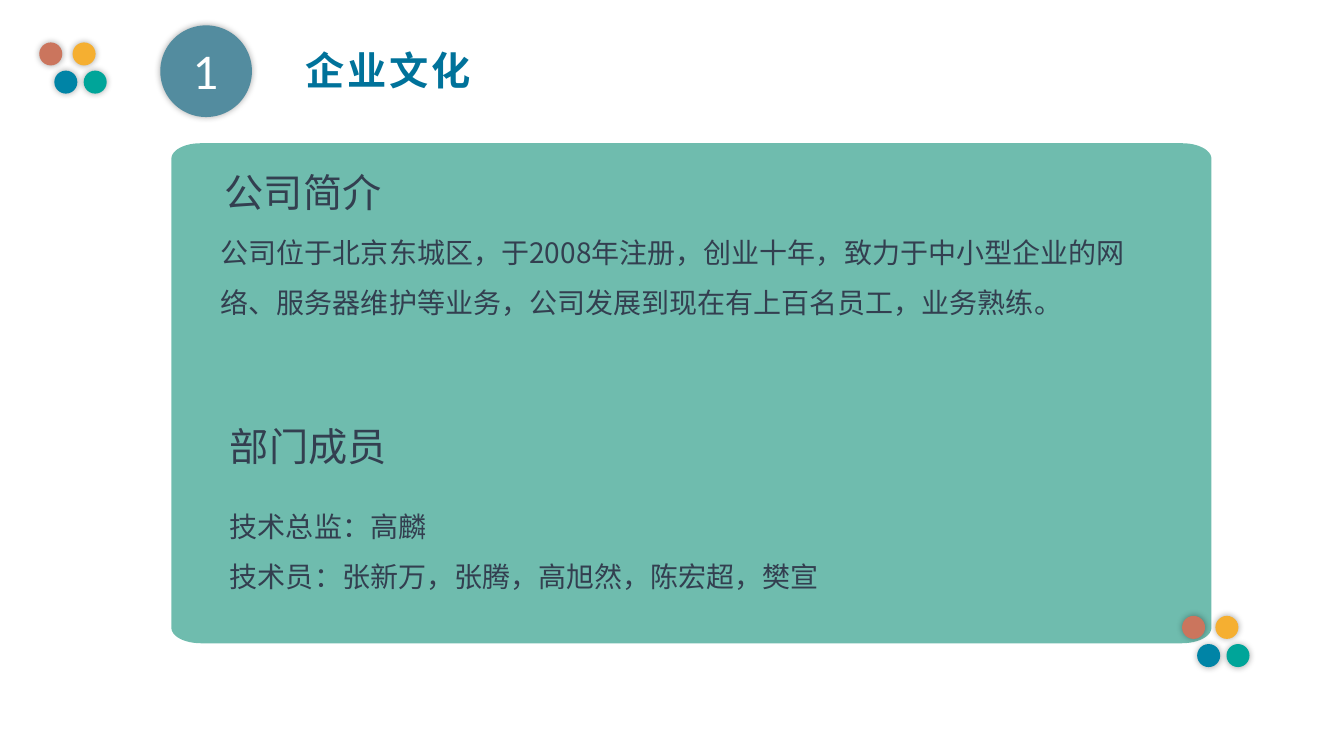
from math import cos, pi, sin

from lxml import etree
from pptx import Presentation
from pptx.dml.color import RGBColor
from pptx.enum.shapes import MSO_SHAPE
from pptx.enum.text import MSO_ANCHOR, MSO_AUTO_SIZE, PP_ALIGN
from pptx.oxml.ns import qn
from pptx.util import Cm, Pt

OVAL = MSO_SHAPE.OVAL
LEFT, CENTER = PP_ALIGN.LEFT, PP_ALIGN.CENTER
TOP, MIDDLE = MSO_ANCHOR.TOP, MSO_ANCHOR.MIDDLE
FIXED = MSO_AUTO_SIZE.NONE

COLORS = {
    "title": "00729A",
    "text": "333F50",
    "white": "FFFFFF",
    "panel": "40A693",
    "badge": "538C9F",
    "green": "00A599",
    "gold": "F5AF31",
    "blue": "0084A6",
    "red": "CB755D",
}
HAN = "Noto Sans CJK SC"
DOTS = [("green", 1.12, 0.71), ("gold", 0.84, 0), ("blue", 0.38, 0.71), ("red", 0, 0)]

HEAD = {"size": Pt(28), "bold": False, "name": HAN}
BODY = {"size": Pt(20), "bold": False, "name": HAN}
TITLE = {"size": Pt(28), "bold": True, "name": HAN}
BADGE = {"size": Pt(32), "bold": False, "name": "Lato"}

INTRO = ["公司位于北京东城区，于2008年注册，创业十年，致力于中小型企业的网络、服务器维护等业务，公司发展到现在有上百名员工，业务熟练。"]
STAFF = ["技术总监：高麟", "技术员：张新万，张腾，高旭然，陈宏超，樊宣"]


def color(key):
    return RGBColor.from_string(COLORS[key])


def assign(target, values):
    for name, value in values.items():
        setattr(target, name, value)


def paint(shape, key):
    shape.fill.solid()
    shape.fill.fore_color.rgb = color(key)
    shape.line.fill.background()
    shape.shadow.inherit = False


def add_glow(shape):
    effects = shape._element.spPr.find(qn("a:effectLst"))
    glow = etree.SubElement(effects, qn("a:outerShdw"), blurRad=str(Pt(5)), dist="0")
    black = etree.SubElement(glow, qn("a:srgbClr"), val="000000")
    etree.SubElement(black, qn("a:alpha"), val="35000")


def add_disc(shapes, key, left, top, size):
    disc = shapes.add_shape(OVAL, Cm(left), Cm(top), Cm(size), Cm(size))
    paint(disc, key)
    add_glow(disc)
    return disc


def add_dots(slide, left, top):
    group = slide.shapes.add_group_shape()
    for key, across, down in DOTS:
        add_disc(group.shapes, key, left + across, top + down, 0.58)


def add_panel(slide, left, top, width, height, wide, tall):
    right, base = left + width - wide, top + height - tall
    hubs = [(right, base), (left + wide, base), (left + wide, top + tall), (right, top + tall)]
    points = []
    for turn, (across, down) in enumerate(hubs):
        for step in range(13):
            angle = (turn + step / 12) * pi / 2
            points.append((Cm(across + wide * cos(angle)), Cm(down + tall * sin(angle))))
    outline = slide.shapes.build_freeform(*points[0])
    outline.add_line_segments(points[1:], close=True)
    panel = outline.convert_to_shape()
    paint(panel, "panel")
    tint = panel._element.spPr.find(qn("a:solidFill"))[0]
    etree.SubElement(tint, qn("a:alpha"), val="75000")


def write(shape, lines, style, key, align=LEFT, anchor=TOP, spacing=1.0):
    frame = shape.text_frame
    frame.text = "\n".join(lines)
    assign(frame, {"word_wrap": True, "auto_size": FIXED, "vertical_anchor": anchor})
    layout = {"alignment": align, "line_spacing": spacing,
              "space_before": Pt(0), "space_after": Pt(0)}
    for para in frame.paragraphs:
        props = para._p.get_or_add_pPr()
        props.set("marL", "0")
        props.set("indent", "0")
        etree.SubElement(props, qn("a:buNone"))
        assign(para, layout)
        for run in para.runs:
            run.font.color.rgb = color(key)
            assign(run.font, style)
            etree.SubElement(run.font._element, qn("a:ea"), typeface=style["name"])


def fill_holder(slide, index, box, lines, style, key="text", **layout):
    holder = slide.placeholders[index]
    sides = ("left", "top", "width", "height")
    assign(holder, {side: Cm(size) for side, size in zip(sides, box)})
    slide.shapes._spTree.append(holder._element)
    write(holder, lines, style, key, **layout)
    return holder


def add_badge(slide):
    badge = add_disc(slide.shapes, "badge", 4.04, 0.64, 2.31)
    sides = ("left", "top", "right", "bottom")
    assign(badge.text_frame, {"margin_" + side: 0 for side in sides})
    write(badge, ["1"], BADGE, "white", CENTER, MIDDLE)


def main():
    deck = Presentation()
    assign(deck, {"slide_width": Cm(33.87), "slide_height": Cm(19.05)})
    slide = deck.slides.add_slide(deck.slide_layouts[4])

    add_dots(slide, 0.99, 1.07)
    title = fill_holder(slide, 0, (7.44, 1.04, 6.6, 2.03), ["企业文化"], TITLE, "title")
    title.text_frame.paragraphs[0].runs[0].font._element.set("spc", "200")
    add_panel(slide, 4.32, 3.61, 26.21, 12.6, 0.74, 0.39)
    fill_holder(slide, 1, (5.41, 4.11, 5.36, 1.45), ["公司简介"], HEAD)
    fill_holder(slide, 2, (5.31, 5.38, 23.29, 5.21), INTRO, BODY, spacing=1.5)
    fill_holder(slide, 3, (5.54, 10.52, 9.65, 1.45), ["部门成员"], HEAD)
    fill_holder(slide, 4, (5.54, 12.29, 23.16, 3.43), STAFF, BODY, spacing=1.5)
    add_dots(slide, 29.79, 15.52)
    add_badge(slide)

    deck.save("out.pptx")


if __name__ == "__main__":
    main()
